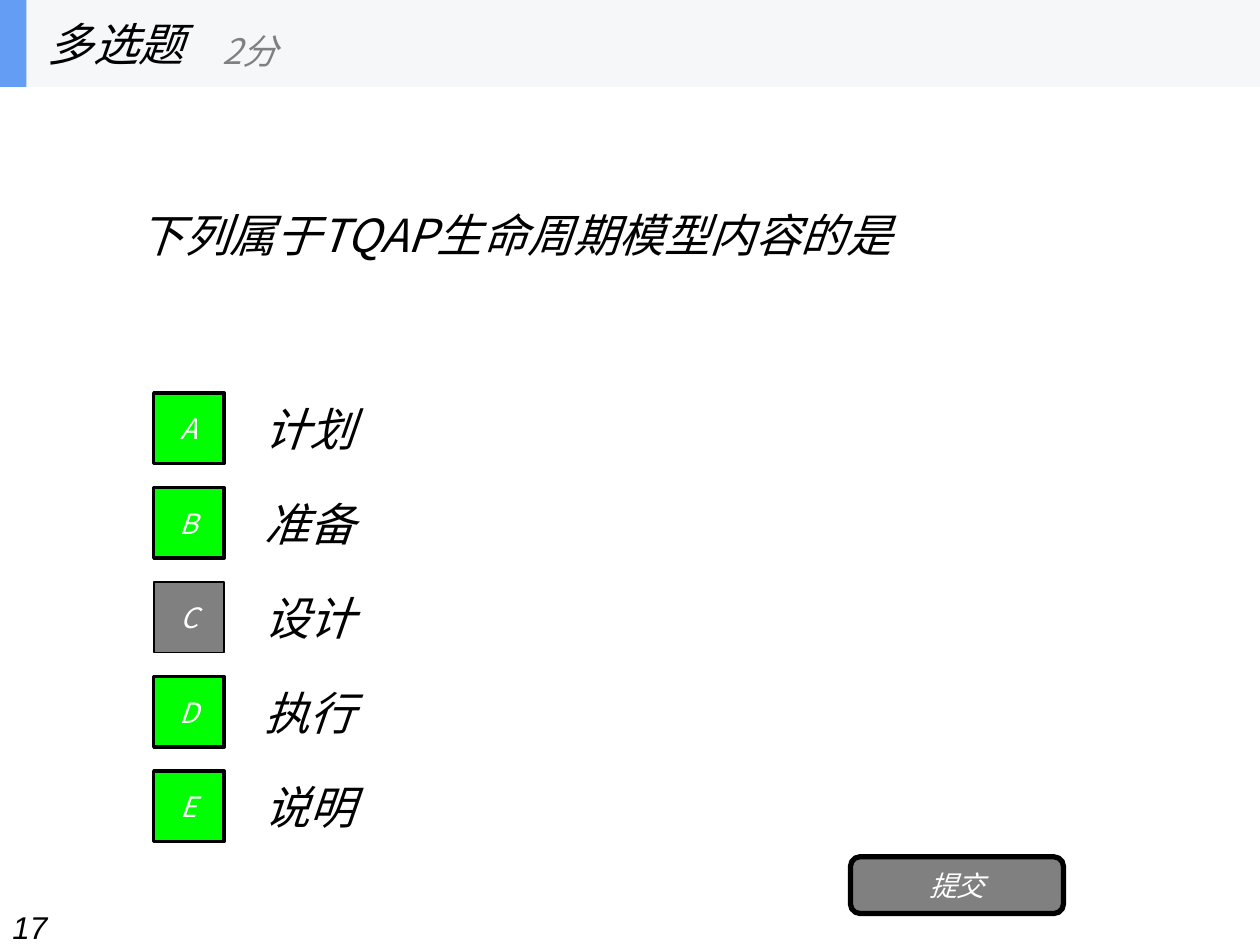
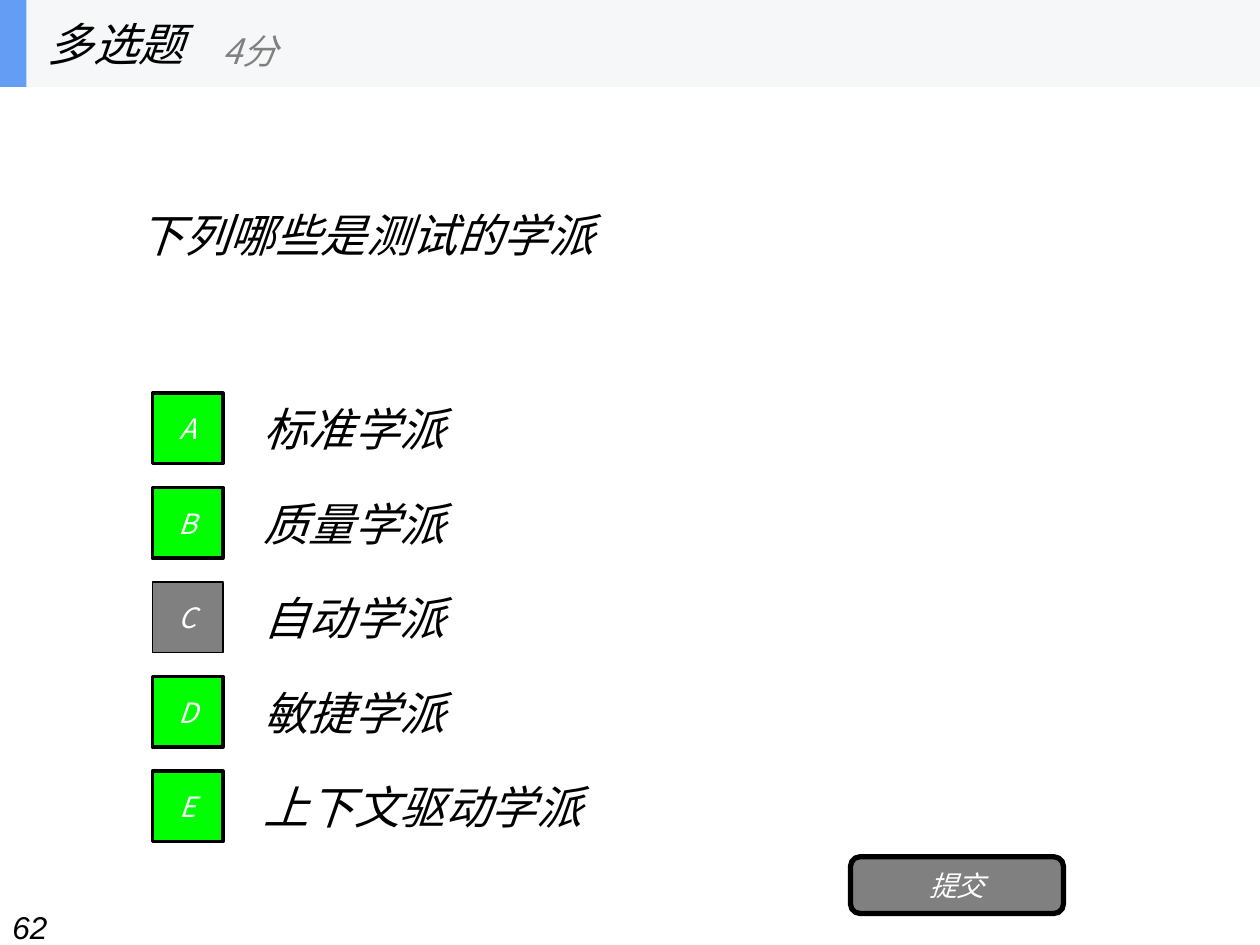
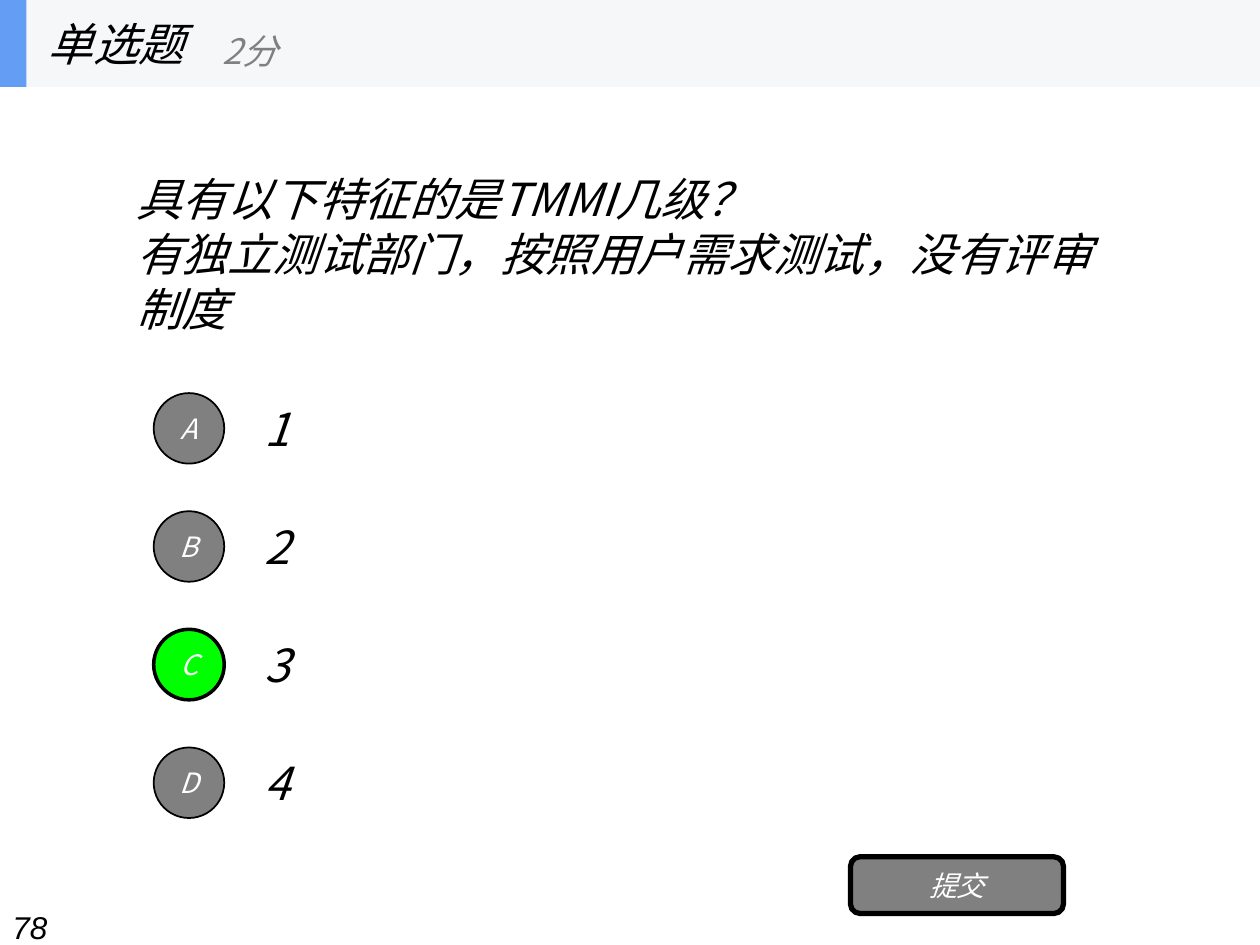
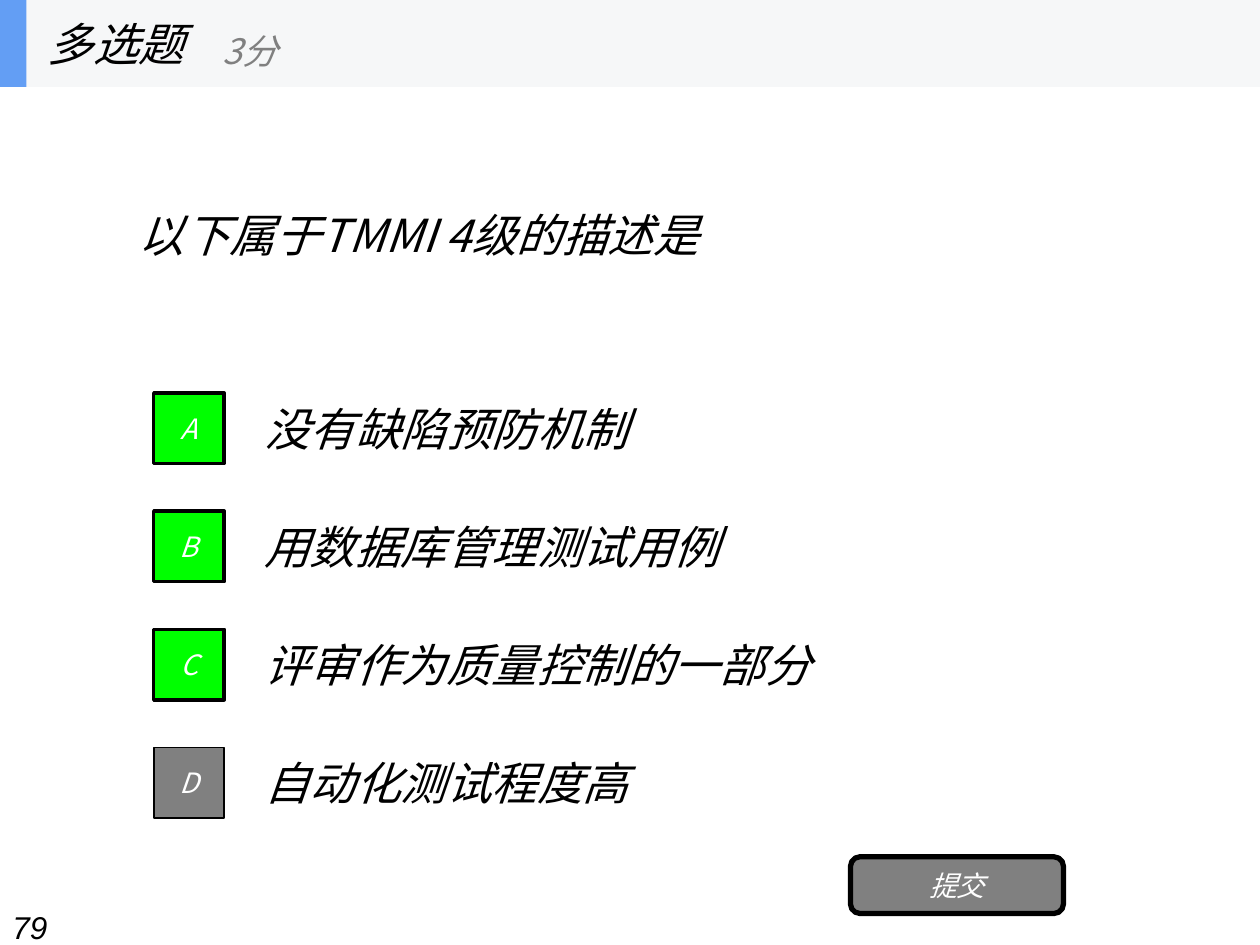
from dataclasses import dataclass

from lxml.etree import SubElement
from pptx import Presentation
from pptx.dml.color import RGBColor
from pptx.enum.shapes import MSO_SHAPE
from pptx.enum.text import MSO_ANCHOR, MSO_AUTO_SIZE, PP_ALIGN
from pptx.oxml.ns import qn
from pptx.shapes.autoshape import Shape
from pptx.slide import Slide, SlideLayout
from pptx.util import Pt

COLORS = {
    "text": "000000",
    "inverse": "FFFFFF",
    "muted": "808080",
    "correct": "00FF00",
    "band": "F6F7F8",
    "accent": "639EF4",
}
CJK_FONT = "Noto Sans CJK SC"
BAND_HEIGHT = 49.68
OPTION_TOP = 219.6
OPTION_HEIGHT = 50.4
BADGE_SIZE = 40.32
BADGE_OFFSET = 56.16
PITCH = {4: 67.5, 5: 54}


@dataclass(frozen=True)
class Box:
    """Position and size in points."""

    left: float
    top: float
    width: float
    height: float


@dataclass(frozen=True)
class TextStyle:
    """Look of a block of text."""

    size: float
    color: str = "text"
    font: str = CJK_FONT
    align: PP_ALIGN = PP_ALIGN.LEFT
    anchor: MSO_ANCHOR = MSO_ANCHOR.MIDDLE


@dataclass(frozen=True)
class Question:
    """Content of one quiz page."""

    number: int
    kind: str
    score: str
    prompt: str
    options: tuple[str, ...]
    correct: str
    badge: MSO_SHAPE = MSO_SHAPE.RECTANGLE
    prompt_box: Box = Box(72, BAND_HEIGHT, 576, 168.48)
    option_left: float = 144


MAIN = TextStyle(26)
SCORE = TextStyle(20, "muted")
BUTTON = TextStyle(16, "inverse", align=PP_ALIGN.CENTER)
NUMBER = TextStyle(18, font="Arial", anchor=MSO_ANCHOR.TOP)

QUESTIONS = (
    Question(17, "多选题", "2分", "下列属于TQAP生命周期模型内容的是",
             ("计划", "准备", "设计", "执行", "说明"), "ABDE"),
    Question(62, "多选题", "4分", "下列哪些是测试的学派",
             ("标准学派", "质量学派", "自动学派", "敏捷学派", "上下文驱动学派"),
             "ABDE", option_left=143.28),
    Question(78, "单选题", "2分",
             "具有以下特征的是TMMI几级？\n有独立测试部门，按照用户需求测试，没有评审制度",
             ("1", "2", "3", "4"), "C", MSO_SHAPE.OVAL,
             Box(70.56, 60.48, 576, 168.48)),
    Question(79, "多选题", "3分", "以下属于TMMI 4级的描述是",
             ("没有缺陷预防机制", "用数据库管理测试用例",
              "评审作为质量控制的一部分", "自动化测试程度高"), "ABC"),
)


def rgb(name: str) -> RGBColor:
    """Look up a colour by name."""
    return RGBColor.from_string(COLORS[name])


def lengths(box: Box) -> tuple[Pt, Pt, Pt, Pt]:
    """Convert a box to lengths."""
    return Pt(box.left), Pt(box.top), Pt(box.width), Pt(box.height)


def write(shape: Shape, text: str, style: TextStyle) -> None:
    """Fill a shape with styled text."""
    frame = shape.text_frame
    frame.text = text
    frame.word_wrap = True
    frame.auto_size = MSO_AUTO_SIZE.NONE
    frame.vertical_anchor = style.anchor
    for para in frame.paragraphs:
        para.alignment = style.align
        para.space_before = Pt(0)
        if shape.is_placeholder:
            properties = para._p.get_or_add_pPr()
            properties.set("marL", "0")
            properties.set("indent", "0")
            SubElement(properties, qn("a:buNone"))
        font = para.font
        font.size = Pt(style.size)
        font.italic = True
        font.color.rgb = rgb(style.color)
        font.name = style.font
        SubElement(font._element, qn("a:ea")).set("typeface", style.font)


def fill_placeholder(page: Slide, index: int, box: Box, text: str) -> None:
    """Move a placeholder and write its text."""
    shape = page.placeholders[index]
    shape.left, shape.top, shape.width, shape.height = lengths(box)
    write(shape, text, MAIN)


def add_text(page: Slide, box: Box, text: str, style: TextStyle) -> None:
    """Add a text box."""
    write(page.shapes.add_textbox(*lengths(box)), text, style)


def add_panel(page: Slide, kind: MSO_SHAPE, box: Box, fill: str,
              line_width: float = 0) -> Shape:
    """Add a flat filled shape with an optional outline."""
    shape = page.shapes.add_shape(kind, *lengths(box))
    shape.shadow.inherit = False
    shape.fill.solid()
    shape.fill.fore_color.rgb = rgb(fill)
    if line_width:
        shape.line.color.rgb = rgb("text")
        shape.line.width = Pt(line_width)
    else:
        shape.line.fill.background()
    return shape


def add_option(page: Slide, question: Question, index: int) -> None:
    """Add an answer with its lettered badge."""
    letter = "ABCDE"[index]
    is_correct = letter in question.correct
    top = OPTION_TOP + index * PITCH[len(question.options)]
    badge_box = Box(question.option_left - BADGE_OFFSET,
                    top + (OPTION_HEIGHT - BADGE_SIZE) / 2,
                    BADGE_SIZE, BADGE_SIZE)
    badge = add_panel(page, question.badge, badge_box,
                      "correct" if is_correct else "muted",
                      2 if is_correct else 1)
    write(badge, letter, BUTTON)
    add_text(page, Box(question.option_left, top, 504, OPTION_HEIGHT),
             question.options[index], MAIN)


def add_band(layout: SlideLayout, page: Slide) -> None:
    """Put the shared header band on the layout."""
    for placeholder in list(layout.placeholders):
        if placeholder.placeholder_format.idx >= 10:
            layout.shapes._spTree.remove(placeholder._element)
    parts = ((720, "band"), (15.12, "accent"))
    panels = [add_panel(page, MSO_SHAPE.RECTANGLE,
                        Box(0, 0, width, BAND_HEIGHT), color)
              for width, color in parts]
    for position, panel in enumerate(panels, start=2):
        layout.shapes._spTree.insert(position, panel._element)


def fill_page(page: Slide, question: Question) -> None:
    """Lay out one quiz page."""
    fill_placeholder(page, 0, Box(20.16, 0, 149.76, BAND_HEIGHT), question.kind)
    fill_placeholder(page, 1, question.prompt_box, question.prompt)
    add_text(page, Box(120.24, 8.64, 180, 40.32), question.score, SCORE)
    for index in range(len(question.options)):
        add_option(page, question, index)
    submit = add_panel(page, MSO_SHAPE.ROUNDED_RECTANGLE,
                       Box(486, 489.6, 121.68, 32.4), "muted", 3)
    write(submit, "提交", BUTTON)
    add_text(page, Box(0, 515.52, 720, 20.88), str(question.number), NUMBER)


def main() -> None:
    """Build and save the deck."""
    deck = Presentation()
    deck.slide_width, deck.slide_height = Pt(720), Pt(540)
    layout = deck.slide_layouts[1]
    pages = [deck.slides.add_slide(layout) for _ in QUESTIONS]
    add_band(layout, pages[0])
    for page, question in zip(pages, QUESTIONS):
        fill_page(page, question)
    deck.save("out.pptx")


if __name__ == "__main__":
    main()
